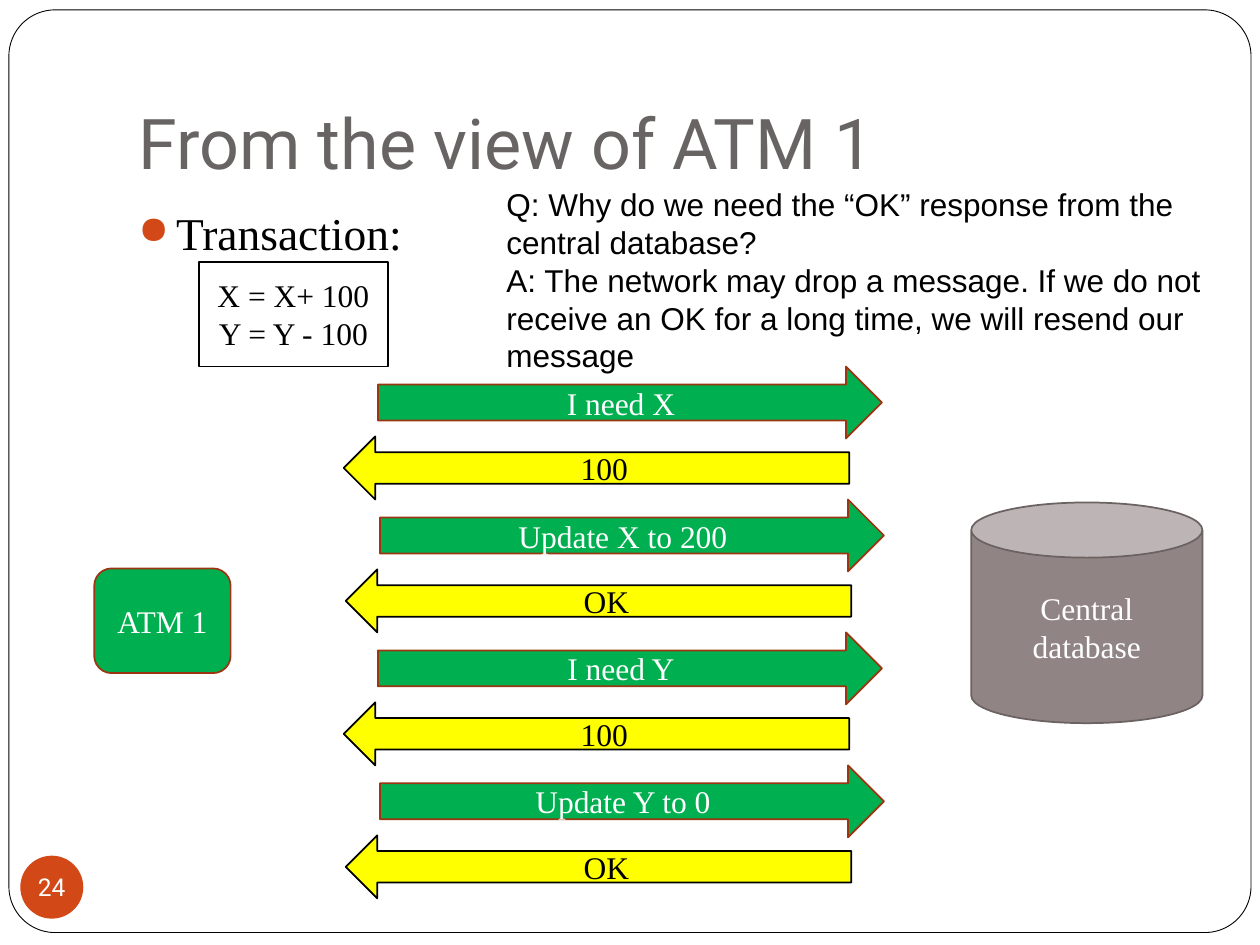
from dataclasses import dataclass

from lxml import etree
from pptx import Presentation
from pptx.dml.color import RGBColor
from pptx.enum import shapes as sh, text as tx
from pptx.oxml import ns
from pptx.util import Cm, Pt


@dataclass(frozen=True)
class Theme:
    white: str = "FFFFFF"
    black: str = "000000"
    grey: str = "696464"
    orange: str = "D34817"
    rust: str = "9C3511"
    green: str = "00B050"
    yellow: str = "FFFF00"
    stone: str = "918485"
    edge: str = "6B6262"
    serif: str = "Times New Roman"
    sans: str = "Arial"
    head: str = "Roboto"
    title: float = 40
    body: float = 26
    label: float = 18
    page: float = 14


@dataclass(frozen=True)
class Box:
    """Left, top, width and height in centimetres."""
    x: float
    y: float
    w: float
    h: float

    def emu(self) -> tuple:
        return Cm(self.x), Cm(self.y), Cm(self.w), Cm(self.h)


@dataclass(frozen=True)
class Node:
    kind: sh.MSO_SHAPE
    box: Box
    label: str
    fill: str
    line: str
    ink: str


T = Theme()
KIND = sh.MSO_SHAPE
STEP = 2.68

NODES = [
    Node(KIND.RECTANGLE, Box(4.01, 5.28, 3.81, 2.11),
         "X = X+ 100\nY = Y - 100", T.white, T.black, T.black),
    Node(KIND.ROUNDED_RECTANGLE, Box(1.9, 11.46, 2.75, 2.11),
         "ATM 1", T.green, T.rust, T.white),
    Node(KIND.CAN, Box(19.58, 10.13, 4.66, 4.45),
         "Central database", T.stone, T.edge, T.white),
]

CALLS = [("I need X", "100"), ("Update X to 200", "OK"),
         ("I need Y", "100"), ("Update Y to 0", "OK")]


def write(shape, words: str, *, size: float = T.label, font: str = T.serif,
          ink: str = T.black, align=tx.PP_ALIGN.LEFT,
          anchor=tx.MSO_ANCHOR.TOP, wrap: bool = True) -> None:
    """Fill a shape with one paragraph per line of words."""
    frame = shape.text_frame
    frame.text = words
    frame.word_wrap = wrap
    frame.vertical_anchor = anchor
    for para in frame.paragraphs:
        para.alignment = align
        for run in para.runs:
            run.font.size = Pt(size)
            run.font.name = font
            run.font.color.rgb = RGBColor.from_string(ink)


def draw(slide, kind, box: Box, fill: str, line: str = "", width: float = 1):
    shape = slide.shapes.add_shape(kind, *box.emu())
    shape.shadow.inherit = False
    shape.fill.solid()
    shape.fill.fore_color.rgb = RGBColor.from_string(fill)
    if line:
        shape.line.color.rgb = RGBColor.from_string(line)
        shape.line.width = Pt(width)
    else:
        shape.line.fill.background()
    return shape


def place(slide, node: Node) -> None:
    shape = draw(slide, node.kind, node.box, node.fill, node.line)
    write(shape, node.label, ink=node.ink, align=tx.PP_ALIGN.CENTER,
          anchor=tx.MSO_ANCHOR.MIDDLE)


def note(slide, box: Box, words: str, **style):
    shape = slide.shapes.add_textbox(*box.emu())
    write(shape, words, **style)
    return shape


def bullet(para, indent: float) -> None:
    para.space_before = Pt(5.8)
    props = para._p.get_or_add_pPr()
    props.set("marL", str(Cm(indent)))
    props.set("indent", str(-Cm(indent)))
    tint = etree.SubElement(props, ns.qn("a:buClr"))
    etree.SubElement(tint, ns.qn("a:srgbClr"), val=T.orange)
    etree.SubElement(props, ns.qn("a:buSzPct"), val="85000")
    etree.SubElement(props, ns.qn("a:buChar"), char="●")


def trade(slide, row: int, ask: str, reply: str) -> None:
    """Draw one request to the database and its reply."""
    shift = 0.04 * (row % 2)
    drop = STEP * row
    place(slide, Node(KIND.RIGHT_ARROW, Box(7.62 + shift, 7.39 + drop, 10.16, 1.45),
                      ask, T.green, T.rust, T.white))
    place(slide, Node(KIND.LEFT_ARROW, Box(6.93 + shift, 8.8 + drop, 10.19, 1.27),
                      reply, T.yellow, T.black, T.black))


def main() -> None:
    deck = Presentation()
    deck.slide_width, deck.slide_height = Cm(25.4), Cm(19.05)
    slide = deck.slides.add_slide(deck.slide_layouts[6])

    frame = draw(slide, KIND.ROUNDED_RECTANGLE, Box(0.18, 0.2, 25.04, 18.6),
                 T.white, T.black, 0.5)
    frame.adjustments[0] = 0.05

    title = note(slide, Box(2.54, 0.76, 21.59, 3.18), "From the view of ATM 1",
                 size=T.title, font=T.head, ink=T.grey,
                 anchor=tx.MSO_ANCHOR.BOTTOM)
    title.text_frame.margin_bottom = Cm(0.25)

    body = note(slide, Box(2.54, 4.01, 21.59, 12.7), "Transaction:", size=T.body)
    bullet(body.text_frame.paragraphs[0], 0.76)

    badge = draw(slide, KIND.OVAL, Box(0.41, 17.25, 1.27, 1.27), T.orange)
    write(badge, "24", size=T.page, font=T.head, ink=T.white, wrap=False,
          align=tx.PP_ALIGN.CENTER, anchor=tx.MSO_ANCHOR.MIDDLE)
    pad = badge.text_frame
    pad.margin_left = pad.margin_right = pad.margin_top = pad.margin_bottom = 0

    for node in NODES:
        place(slide, node)
    for row, (ask, reply) in enumerate(CALLS):
        trade(slide, row, ask, reply)

    note(slide, Box(9.96, 3.61, 15.24, 4.11),
         "Q: Why do we need the “OK” response from the central database?\n"
         "A: The network may drop a message. If we do not receive an OK "
         "for a long time, we will resend our message", font=T.sans)

    deck.save("out.pptx")


if __name__ == "__main__":
    main()
